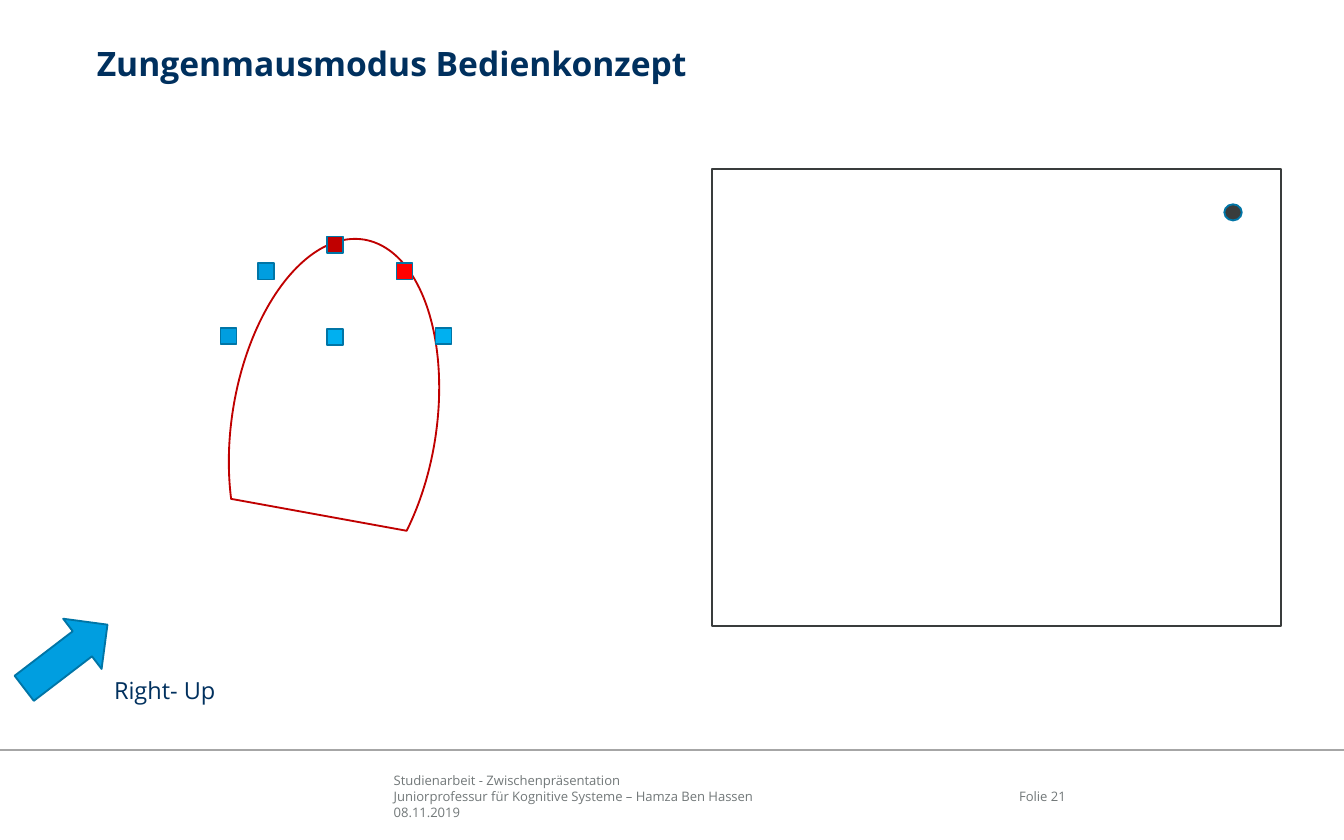
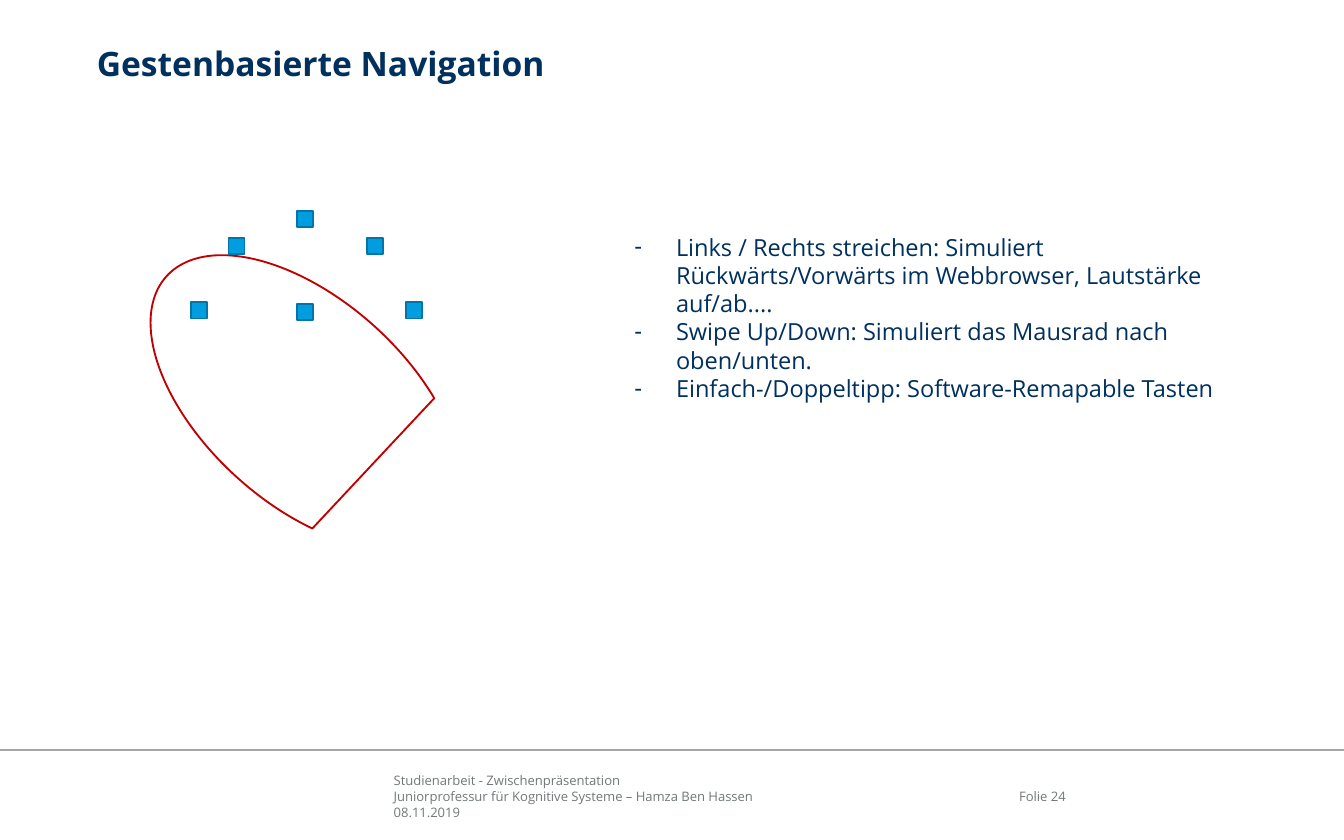
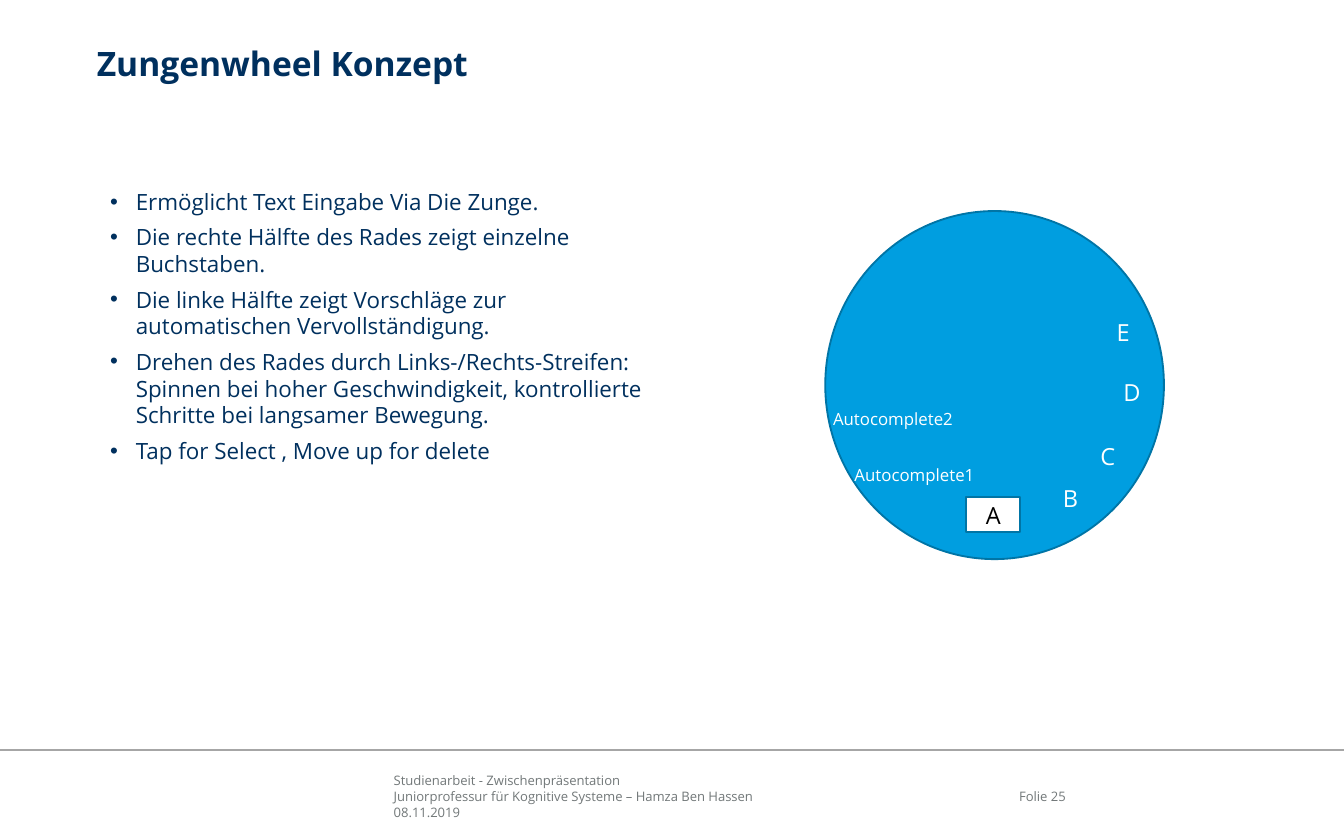
"""Build three slides on tongue control: mouse mode, gesture navigation and text wheel."""
from lxml import etree
from pptx import Presentation
from pptx.dml.color import RGBColor
from pptx.enum.shapes import MSO_CONNECTOR, MSO_SHAPE
from pptx.enum.text import MSO_ANCHOR, MSO_AUTO_SIZE, PP_ALIGN
from pptx.oxml.ns import qn
from pptx.util import Inches, Pt

RECTANGLE, ELLIPSE = MSO_SHAPE.RECTANGLE, MSO_SHAPE.OVAL
CHORD, ARROW = MSO_SHAPE.CHORD, MSO_SHAPE.RIGHT_ARROW
STRAIGHT = MSO_CONNECTOR.STRAIGHT
TOP, MIDDLE, BOTTOM = MSO_ANCHOR.TOP, MSO_ANCHOR.MIDDLE, MSO_ANCHOR.BOTTOM
LEFT, CENTER, RIGHT = PP_ALIGN.LEFT, PP_ALIGN.CENTER, PP_ALIGN.RIGHT
NO_AUTOFIT = MSO_AUTO_SIZE.NONE

FONT = "Open Sans"
COLORS = {
    "navy": "00305E", "blue": "009EE0", "light_blue": "00B0F0", "edge": "0075A6",
    "dark_red": "C00000", "red": "FF0000", "charcoal": "393C3C", "footer": "727879",
    "rule": "A6A6A6", "white": "FFFFFF", "black": "000000",
}
FOOTER_LINES = [
    "Studienarbeit - Zwischenpräsentation",
    "Juniorprofessur für Kognitive Systeme – Hamza Ben Hassen",
    "08.11.2019",
]
SENSOR_OFFSETS = [(0, 0), (0.52, 0.2), (-0.51, 0.2), (0.81, 0.68), (-0.79, 0.68), (0, 0.69)]


def write(box, lines, size, color, bold=False, align=LEFT, anchor=TOP, inset=None,
          bullet=None, indent=0, gap=0):
    """Fill a text shape with one formatted paragraph per line."""
    frame = box.text_frame
    frame.word_wrap = True
    frame.auto_size = NO_AUTOFIT
    frame.vertical_anchor = anchor
    if inset is not None:
        frame.margin_left = frame.margin_right = Inches(inset)
        frame.margin_top = frame.margin_bottom = Inches(inset)
    for index, line in enumerate(lines):
        para = frame.add_paragraph() if index else frame.paragraphs[0]
        para.alignment = align
        para.space_before = Pt(gap if index else 0)
        if bullet:
            properties = para._p.get_or_add_pPr()
            properties.set("marL", str(Inches(indent)))
            properties.set("indent", str(-Inches(indent)))
            etree.SubElement(properties, qn("a:buChar")).set("char", bullet)
        span = para.add_run()
        span.text = line
        span.font.name = FONT
        span.font.size = Pt(size)
        span.font.bold = bold
        span.font.color.rgb = RGBColor.from_string(COLORS[color])


def draw(page, kind, bounds, fill, line="edge", rotation=0):
    """Add a flat preset shape with a one-point outline."""
    shape = page.shapes.add_shape(kind, *map(Inches, bounds))
    shape.shadow.inherit = False
    shape.fill.solid()
    shape.fill.fore_color.rgb = RGBColor.from_string(COLORS[fill])
    shape.line.color.rgb = RGBColor.from_string(COLORS[line])
    shape.line.width = Pt(1)
    shape.rotation = rotation
    return shape


deck = Presentation()
deck.slide_width, deck.slide_height = Inches(10), Inches(6.25)
content_layout, title_layout = deck.slide_layouts[1], deck.slide_layouts[5]

pages = []
for title, number, layout in [
    ("Zungenmausmodus Bedienkonzept", 21, title_layout),
    ("Gestenbasierte Navigation", 24, content_layout),
    ("Zungenwheel Konzept", 25, content_layout),
]:
    page = deck.slides.add_slide(layout)
    heading = page.shapes.title
    heading.left, heading.top, heading.width, heading.height = map(Inches, (0.72, 0.32, 8.68, 0.62))
    write(heading, [title], 18, "navy", bold=True, inset=0)
    rule = page.shapes.add_connector(STRAIGHT, 0, Inches(5.58), Inches(10), Inches(5.58))
    rule.line.color.rgb = RGBColor.from_string(COLORS["rule"])
    rule.line.width = Pt(1)
    etree.SubElement(rule._element.spPr, qn("a:effectLst"))
    footer = page.shapes.add_textbox(*map(Inches, (2.93, 5.75, 4.26, 0.35)))
    write(footer, FOOTER_LINES, 7, "footer", anchor=BOTTOM, inset=0)
    folio = page.shapes.add_textbox(*map(Inches, (7.35, 5.75, 0.58, 0.35)))
    write(folio, [f"Folie {number}"], 7, "footer", align=RIGHT, anchor=MIDDLE, inset=0)
    pages.append(page)
mouse_page, gesture_page, wheel_page = pages

for page, tongue_left, tongue_top, rotation, sensor_left, sensor_top, sensor_fills in [
    (mouse_page, 1.09, 2.4, 99.2, 2.43, 1.76,
     ["dark_red", "red", "blue", "light_blue", "blue", "light_blue"]),
    (gesture_page, 0.88, 2.23, 42, 2.21, 1.57, ["blue"] * 6),
]:
    tongue = draw(page, CHORD, (tongue_left, tongue_top, 2.79, 1.52), "white", "dark_red", rotation)
    tongue.adjustments[0], tongue.adjustments[1] = 27, 189.84
    for (across, down), fill in zip(SENSOR_OFFSETS, sensor_fills):
        draw(page, RECTANGLE, (sensor_left + across, sensor_top + down, 0.12, 0.12), fill)

draw(mouse_page, RECTANGLE, (5.3, 1.26, 4.23, 3.4), "white", "charcoal")
draw(mouse_page, ELLIPSE, (9.11, 1.52, 0.13, 0.12), "charcoal")
draw(mouse_page, ARROW, (0.1, 4.65, 0.78, 0.47), "blue", rotation=322.6)
direction = mouse_page.shapes.add_textbox(*map(Inches, (0.75, 4.98, 2.29, 0.53)))
write(direction, ["Right- Up"], 12.6, "navy")

for page, bounds, size, bullet, indent, gap, items in [
    (gesture_page, (4.62, 1.68, 4.64, 1.59), 12.6, "-", 0.31, 0, [
        "Links / Rechts streichen: Simuliert Rückwärts/Vorwärts im Webbrowser, "
        "Lautstärke auf/ab....",
        "Swipe Up/Down: Simuliert das Mausrad nach oben/unten.",
        "Einfach-/Doppeltipp: Software-Remapable Tasten",
    ]),
    (wheel_page, (0.72, 1.35, 4.17, 3.75), 12, "•", 0.19, 4.5, [
        "Ermöglicht Text Eingabe Via Die Zunge.",
        "Die rechte Hälfte des Rades zeigt einzelne Buchstaben.",
        "Die linke Hälfte zeigt Vorschläge zur automatischen Vervollständigung.",
        "Drehen des Rades durch Links-/Rechts-Streifen: Spinnen bei hoher "
        "Geschwindigkeit, kontrollierte Schritte bei langsamer Bewegung.",
        "Tap for Select , Move up for delete",
    ]),
]:
    body = page.placeholders[1]
    body.left, body.top, body.width, body.height = map(Inches, bounds)
    write(body, items, size, "navy", bullet=bullet, indent=indent, gap=gap)

draw(wheel_page, ELLIPSE, (6.14, 1.57, 2.52, 2.59), "blue")
for text, left, top, width, height, size in [
    ("Autocomplete2", 6.1, 2.99, 1.54, 0.25, 9),
    ("Autocomplete1", 6.26, 3.41, 1.54, 0.25, 9),
    ("B", 7.81, 3.55, 0.46, 0.31, 12.6),
    ("C", 8.09, 3.24, 0.46, 0.31, 12.6),
    ("D", 8.26, 2.76, 0.46, 0.31, 12.6),
    ("E", 8.21, 2.32, 0.46, 0.31, 12.6),
]:
    label = wheel_page.shapes.add_textbox(*map(Inches, (left, top, width, height)))
    write(label, [text], size, "white")
selected = draw(wheel_page, RECTANGLE, (7.19, 3.7, 0.4, 0.26), "white")
write(selected, ["A"], 12.6, "black", align=CENTER, anchor=MIDDLE)

deck.save("out.pptx")
